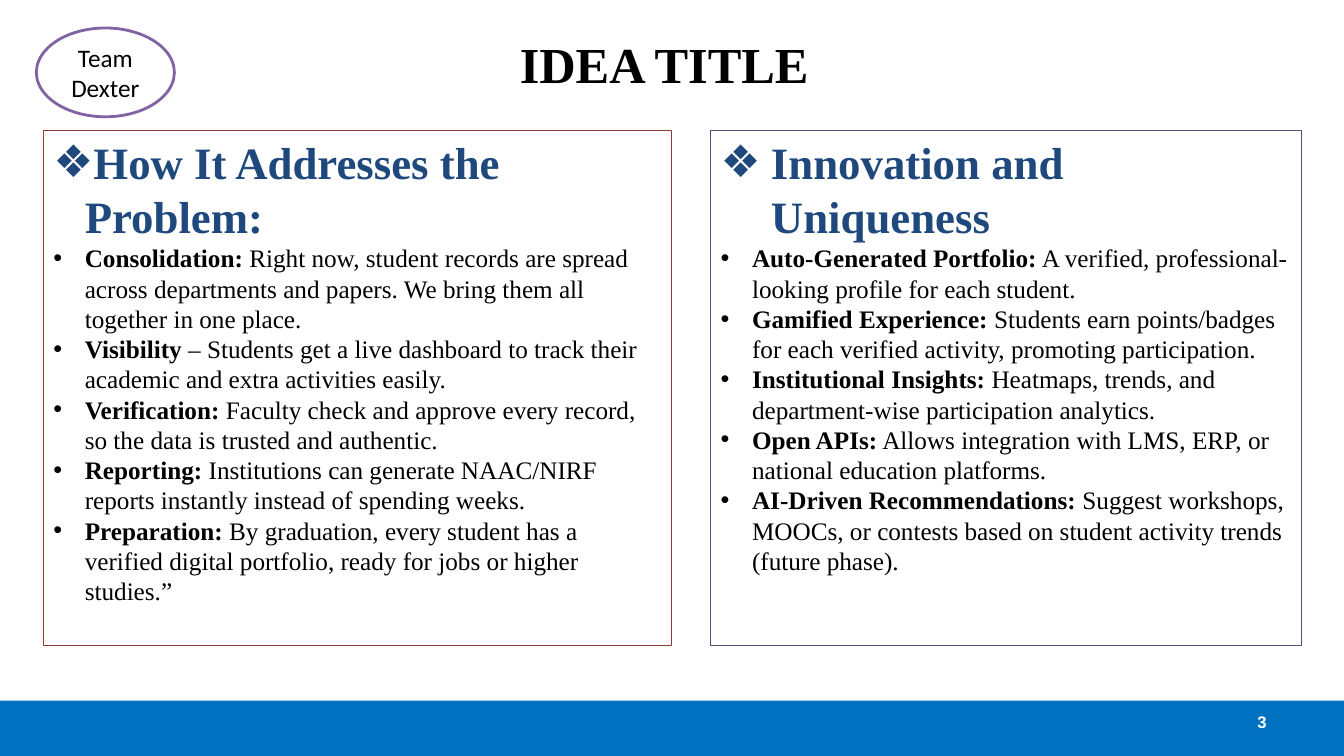
from lxml import etree
from pptx import Presentation
from pptx.dml.color import RGBColor
from pptx.enum import shapes, text
from pptx.oxml.ns import qn
from pptx.util import Pt

SERIF = "Times New Roman"
LEFT = [
    ("Consolidation:", " Right now, student records are spread across departments "
     "and papers. We bring them all together in one place."),
    ("Visibility", " – Students get a live dashboard to track their academic and "
     "extra activities easily."),
    ("Verification:", " Faculty check and approve every record, so the data is "
     "trusted and authentic."),
    ("Reporting:", " Institutions can generate NAAC/NIRF reports instantly instead "
     "of spending weeks."),
    ("Preparation:", " By graduation, every student has a verified digital "
     "portfolio, ready for jobs or higher studies.”"),
]
RIGHT = [
    ("Auto-Generated Portfolio:", " A verified, professional-looking profile for "
     "each student."),
    ("Gamified Experience:", " Students earn points/badges for each verified "
     "activity, promoting participation."),
    ("Institutional Insights:", " Heatmaps, trends, and department-wise "
     "participation analytics."),
    ("Open APIs:", " Allows integration with LMS, ERP, or national education "
     "platforms."),
    ("AI-Driven Recommendations:", " Suggest workshops, MOOCs, or contests based "
     "on student activity trends (future phase)."),
]


def paint(part, color):
    """Give a fill or a line one solid colour."""
    part.solid()
    part.fore_color.rgb = RGBColor.from_string(color)


def style(para, size, color="000000", name=SERIF, bold=None):
    font = para.font
    font.size, font.name, font.bold = Pt(size), name, bold
    font.color.rgb = RGBColor.from_string(color)


def shape(slide, kind, box, fill=None, line=None, width=0.75):
    item = slide.shapes.add_shape(kind, *map(Pt, box))
    item.shadow.inherit = False
    if fill:
        paint(item.fill, fill)
    else:
        item.fill.background()
    if line:
        paint(item.line.fill, line)
        item.line.width = Pt(width)
    else:
        item.line.fill.background()
    return item


def write(frame, words, align, anchor):
    """Set the frame's only paragraph and return it."""
    frame.word_wrap = True
    frame.vertical_anchor = anchor
    para = frame.paragraphs[0]
    para.text, para.alignment = words, align
    return para


def title(slide, box):
    frame = slide.shapes.add_textbox(*map(Pt, box)).text_frame
    para = write(frame, "IDEA TITLE", text.PP_ALIGN.CENTER,
                 text.MSO_ANCHOR.MIDDLE)
    style(para, 36, bold=True)


def bullet(para, mark, dent):
    """Hang the paragraph by dent points behind a bullet mark."""
    props = para._p.get_or_add_pPr()
    props.set("marL", str(Pt(dent)))
    props.set("indent", str(-Pt(dent)))
    etree.SubElement(props, qn("a:buFont")).set("typeface", "Arial")
    etree.SubElement(props, qn("a:buChar")).set("char", mark)
    para.alignment = text.PP_ALIGN.LEFT


def panel(slide, box, line, head, dent, points):
    frame = shape(slide, shapes.MSO_SHAPE.RECTANGLE, box, line=line).text_frame
    para = write(frame, head, text.PP_ALIGN.LEFT, text.MSO_ANCHOR.TOP)
    bullet(para, "❖", dent)
    style(para, 32, "1F497D", bold=True)
    for term, rest in points:
        para = frame.add_paragraph()
        bullet(para, "•", 22.5)
        style(para, 18)
        for words, bold in ((term, True), (rest, False)):
            run = para.add_run()
            run.text, run.font.bold = words, bold


def badge(slide, box):
    oval = shape(slide, shapes.MSO_SHAPE.OVAL, box, "FFFFFF", "8064A2", 2)
    para = write(oval.text_frame, "Team Dexter", text.PP_ALIGN.CENTER,
                 text.MSO_ANCHOR.MIDDLE)
    style(para, 18, name="Calibri")


def footer(slide, box):
    """Draw the bar with the slide number at its right."""
    bar = shape(slide, shapes.MSO_SHAPE.RECTANGLE, box, "0070C0")
    frame = bar.text_frame
    frame.margin_right, frame.margin_top = Pt(55.2), Pt(7.7)
    para = write(frame, "3", text.PP_ALIGN.RIGHT, text.MSO_ANCHOR.TOP)
    style(para, 12, "FFFFFF", "Arial", True)


def main():
    deck = Presentation()
    deck.slide_width, deck.slide_height = Pt(960), Pt(540)
    slide = deck.slides.add_slide(deck.slide_layouts[6])
    footer(slide, (0, 500.4, 960, 39.6))
    title(slide, (318, 20, 313, 50))
    badge(slide, (26, 20, 98.6, 63.4))
    panel(slide, (31, 93, 448.6, 368.4), "953735",
          "How It Addresses the Problem:", 22.5, LEFT)
    panel(slide, (507.6, 93, 422, 368.4), "604A7B",
          "Innovation and Uniqueness", 36, RIGHT)
    deck.save("out.pptx")


if __name__ == "__main__":
    main()
